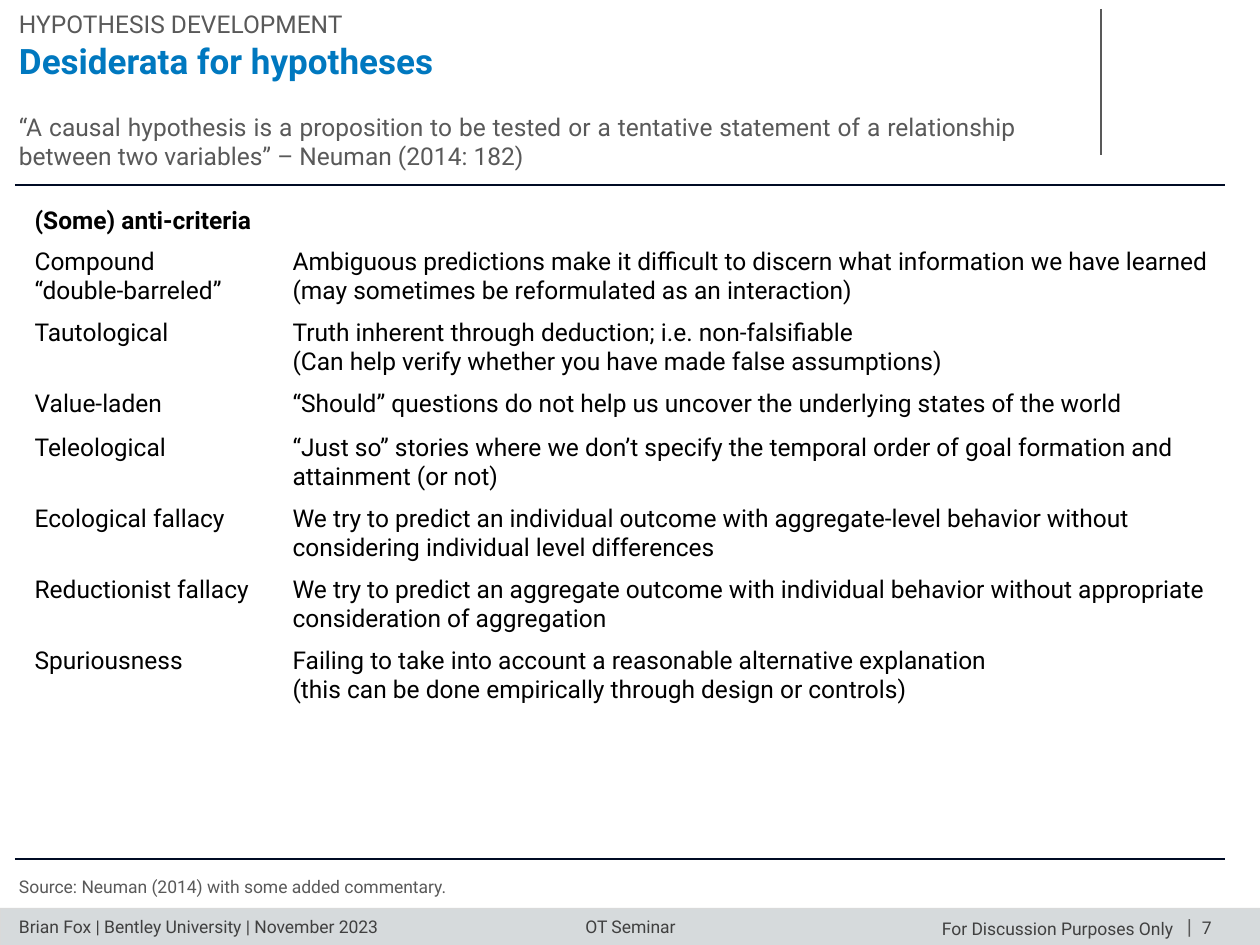
from pptx import Presentation, util as u
from pptx.dml.color import RGBColor
from pptx.enum import shapes, text
from pptx.oxml.ns import qn
from lxml import etree

PX = 914400 // 126
FONT = "Roboto"
PLAIN_TABLE_STYLE = "{2D5ABB26-0587-4C30-8999-92F81FD0307C}"
GREY, DARK, NAVY, BLACK = "595959", "404040", "000B24", "000000"
LEFT, CENTER = text.PP_ALIGN.LEFT, text.PP_ALIGN.CENTER
RIGHT, JUSTIFY = text.PP_ALIGN.RIGHT, text.PP_ALIGN.JUSTIFY
TOP, MIDDLE = text.MSO_ANCHOR.TOP, text.MSO_ANCHOR.MIDDLE

TITLE = ("Desiderata for hypotheses", (19, 39, 1067, 43))
TEXTS = [
    ("7", (1202, 917, 21, 22), 10, DARK, LEFT, MIDDLE, False),
    ("|", (1187, 914, 5, 25), 12, GREY, RIGHT, MIDDLE, False),
    ("Brian Fox | Bentley University | November 2023", (19, 916, 370, 22), 10, DARK, LEFT, TOP, False),
    ("OT Seminar", (583, 916, 95, 22), 10, DARK, CENTER, TOP, False),
    ("For Discussion Purposes Only", (939, 918, 237, 22), 10, DARK, CENTER, TOP, False),
    ("HYPOTHESIS DEVELOPMENT", (19, 9, 1067, 30), 14, GREY, LEFT, MIDDLE, True),
    ("“A causal hypothesis is a proposition to be tested or a tentative statement of a "
     "relationship between two variables” – Neuman (2014: 182)",
     (19, 112, 998, 59), 14, GREY, JUSTIFY, TOP, True),
    ("Source: Neuman (2014) with some added commentary.", (19, 876, 998, 22), 10, GREY, LEFT, TOP, True),
]
LINES = [
    ((1101, 9, 1101, 155), GREY),
    ((15, 859, 1225, 859), NAVY),
    ((15, 185, 1225, 185), NAVY),
]
FOOTER_BAR = (0, 908, 1260, 37)
TABLE_LEFT, TABLE_TOP = 22, 200
COLUMNS = (258, 953)
ROWS = [
    (41, "(Some) anti-criteria", ""),
    (71, "Compound\n“double-barreled”",
     "Ambiguous predictions make it difficult to discern what information we have learned\n"
     "(may sometimes be reformulated as an interaction)"),
    (71, "Tautological",
     "Truth inherent through deduction; i.e. non-falsifiable\n"
     "(Can help verify whether you have made false assumptions)"),
    (44, "Value-laden",
     "“Should” questions do not help us uncover the underlying states of the world"),
    (71, "Teleological",
     "“Just so” stories where we don’t specify the temporal order of goal formation and "
     "attainment (or not)"),
    (71, "Ecological fallacy",
     "We try to predict an individual outcome with aggregate-level behavior without "
     "considering individual level differences"),
    (71, "Reductionist fallacy",
     "We try to predict an aggregate outcome with individual behavior without appropriate "
     "consideration of aggregation"),
    (71, "Spuriousness",
     "Failing to take into account a reasonable alternative explanation \v"
     "(this can be done empirically through design or controls)"),
] + [(44, "", "")] * 3


def color(value):
    return RGBColor.from_string(value)


def emu(values):
    return [value * PX for value in values]


def set_all(target, values):
    for name, value in values.items():
        setattr(target, name, value)


def write(frame, content, size, fill, align=LEFT, bold=False):
    frame.text = content
    for paragraph in frame.paragraphs:
        paragraph.alignment = align
        for run in paragraph.runs:
            set_all(run.font, {"name": FONT, "size": u.Pt(size), "bold": bold})
            run.font.color.rgb = color(fill)
        if not paragraph.runs:
            ending = etree.SubElement(paragraph._p, qn("a:endParaRPr"), sz=str(size * 100))
            etree.SubElement(ending, qn("a:latin"), typeface=FONT)


def format_frame(frame, anchor, wrap):
    set_all(frame, {
        "margin_left": 0, "margin_right": 0, "margin_top": 0, "margin_bottom": 0,
        "vertical_anchor": anchor, "word_wrap": wrap, "auto_size": text.MSO_AUTO_SIZE.NONE,
    })


def add_bar(slide):
    bar = slide.shapes.add_shape(shapes.MSO_SHAPE.RECTANGLE, *emu(FOOTER_BAR))
    bar.shadow.inherit = False
    bar.fill.solid()
    bar.fill.fore_color.rgb = color("D6DADC")
    bar.line.color.rgb = color("D9D9D9")
    bar.line.width = u.Pt(0.25)


def add_title(slide):
    content, box = TITLE
    title = slide.shapes.title
    set_all(title, dict(zip(("left", "top", "width", "height"), emu(box))))
    format_frame(title.text_frame, TOP, True)
    write(title.text_frame, content, 20, "0078BF", bold=True)


def add_text(slide, content, box, size, fill, align, anchor, wrap):
    frame = slide.shapes.add_textbox(*emu(box)).text_frame
    format_frame(frame, anchor, wrap)
    write(frame, content, size, fill, align)


def add_line(slide, ends, fill):
    line = slide.shapes.add_connector(shapes.MSO_CONNECTOR.STRAIGHT, *emu(ends))
    line.line.color.rgb = color(fill)
    line.line.width = u.Pt(0.75)
    etree.SubElement(line._element.spPr, qn("a:effectLst"))


def add_criteria(slide):
    height = sum(row[0] for row in ROWS)
    box = emu((TABLE_LEFT, TABLE_TOP, sum(COLUMNS), height))
    table = slide.shapes.add_table(len(ROWS), len(COLUMNS), *box).table
    set_all(table, {"first_row": False, "horz_banding": False})
    table._tbl.tblPr.find(qn("a:tableStyleId")).text = PLAIN_TABLE_STYLE
    for column, width in zip(table.columns, COLUMNS):
        column.width = width * PX
    for index, (row, (height, *contents)) in enumerate(zip(table.rows, ROWS)):
        row.height = height * PX
        for cell, content in zip(row.cells, contents):
            cell.fill.background()
            write(cell.text_frame, content, 14, BLACK, bold=index == 0)


def main():
    presentation = Presentation()
    set_all(presentation, {"slide_width": 1260 * PX, "slide_height": 945 * PX})
    slide = presentation.slides.add_slide(presentation.slide_layouts[5])
    add_bar(slide)
    add_title(slide)
    for item in TEXTS:
        add_text(slide, *item)
    for item in LINES:
        add_line(slide, *item)
    add_criteria(slide)
    presentation.save("out.pptx")


if __name__ == "__main__":
    main()
